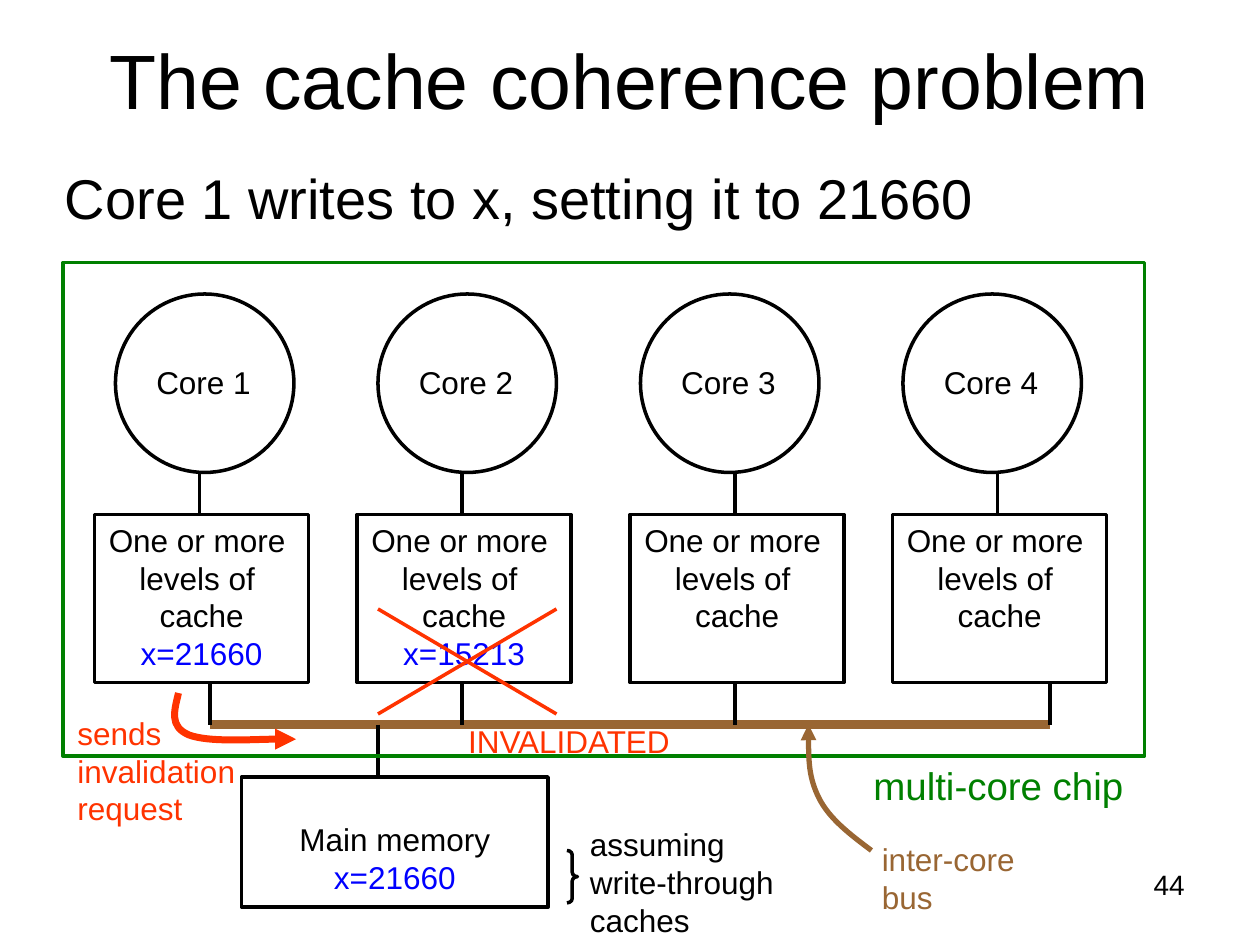
from dataclasses import dataclass

import pptx
import pptx.dml.color
import pptx.enum.shapes
import pptx.enum.text
import pptx.oxml
import pptx.oxml.ns
import pptx.util

EMU_PER_PX = 7620  # 120 px to the inch
SHAPE = pptx.enum.shapes.MSO_SHAPE
ALIGN = pptx.enum.text.PP_ALIGN
ANCHOR = pptx.enum.text.MSO_ANCHOR


@dataclass(frozen=True)
class Theme:
    font: str = "Arial"
    black: str = "000000"
    blue: str = "0000FF"
    green: str = "008000"
    brown: str = "996633"
    red: str = "FF3300"
    title: int = 44
    heading: int = 32
    chip: int = 22
    body: int = 18
    number: int = 16
    thin: int = 2
    arrow: int = 3
    thick_arrow: int = 4
    bus: int = 5


THEME = Theme()


@dataclass(frozen=True)
class Box:
    left: int
    top: int
    width: int
    height: int


@dataclass(frozen=True)
class Line:
    start: tuple[int, int]
    end: tuple[int, int]
    color: str = THEME.black
    width: int = THEME.thin


@dataclass(frozen=True)
class Curve:
    """A start point, then three Bezier points for each segment."""
    points: list[tuple[int, int]]
    color: str
    width: int


@dataclass(frozen=True)
class Text:
    content: str
    color: str = THEME.black
    size: int = THEME.body
    align: ALIGN = ALIGN.LEFT


@dataclass(frozen=True)
class Core:
    name: str
    cache_left: int
    core_link: int
    bus_link: int
    value: str = ""


CORES = [
    Core("Core 1", 90, 190, 200, "x=21660"),
    Core("Core 2", 340, 440, 440, "x=15213"),
    Core("Core 3", 600, 700, 700),
    Core("Core 4", 850, 950, 1000),
]
CORE_PITCH = 250
CORE_TOP, CORE_SIZE = 280, 170
CACHE_TOP, CACHE_WIDTH, CACHE_HEIGHT = 490, 204, 160
BUS_TOP = 690
MEMORY = Box(230, 740, 292, 124)


def px(length: int) -> pptx.util.Emu:
    return pptx.util.Emu(length * EMU_PER_PX)


def rgb(color: str) -> pptx.dml.color.RGBColor:
    return pptx.dml.color.RGBColor.from_string(color)


def frame_of(box: Box) -> list[pptx.util.Emu]:
    return [px(length) for length in (box.left, box.top, box.width, box.height)]


def set_line(shape, color: str, width: int) -> None:
    shape.line.color.rgb = rgb(color)
    shape.line.width = pptx.util.Pt(width)


def write(shape, texts: list[Text], wrap: bool = False, anchor: ANCHOR = ANCHOR.TOP) -> None:
    frame = shape.text_frame
    frame.word_wrap = wrap
    frame.vertical_anchor = anchor
    for index, text in enumerate(texts):
        paragraph = frame.add_paragraph() if index else frame.paragraphs[0]
        paragraph.text = text.content
        paragraph.alignment = text.align
        paragraph.font.name = THEME.font
        paragraph.font.size = pptx.util.Pt(text.size)
        paragraph.font.color.rgb = rgb(text.color)


def add_label(shapes, box: Box, text: Text, wrap: bool = False, anchor: ANCHOR = ANCHOR.TOP) -> None:
    write(shapes.add_textbox(*frame_of(box)), [text], wrap, anchor)


def add_outline(shapes, kind: SHAPE, box: Box, color: str = THEME.black):
    shape = shapes.add_shape(kind, *frame_of(box))
    shape.shadow.inherit = False
    shape.fill.background()
    set_line(shape, color, THEME.thin)
    return shape


def add_line(shapes, line: Line) -> None:
    connector = shapes.add_connector(
        pptx.enum.shapes.MSO_CONNECTOR.STRAIGHT,
        *(px(length) for length in line.start + line.end))
    set_line(connector, line.color, line.width)
    pptx.oxml.ns  # namespace helpers
    properties = connector._element.spPr
    properties.append(properties.makeelement(pptx.oxml.ns.qn("a:effectLst"), {}))


def add_curved_arrow(shapes, curve: Curve) -> None:
    """Draw the control polygon, then join each three points into a Bezier segment."""
    builder = shapes.build_freeform(*curve.points[0], scale=EMU_PER_PX)
    builder.add_line_segments(curve.points[1:], close=False)
    shape = builder.convert_to_shape()
    shape.shadow.inherit = False
    shape.fill.background()
    set_line(shape, curve.color, curve.width)
    qn = pptx.oxml.ns.qn
    path = next(shape._element.iter(qn("a:path")))
    steps = path.findall(qn("a:lnTo"))
    for first in range(0, len(steps), 3):
        bezier = path.makeelement(qn("a:cubicBezTo"), {})
        path.append(bezier)
        for step in steps[first:first + 3]:
            bezier.append(step[0])
            path.remove(step)
    outline = shape.line._get_or_add_ln()
    outline.append(outline.makeelement(qn("a:tailEnd"), {"type": "triangle"}))


def add_core(shapes, index: int, core: Core) -> None:
    left = 110 + index * CORE_PITCH
    group = shapes.add_group_shape()
    add_outline(group.shapes, SHAPE.OVAL, Box(left, CORE_TOP, CORE_SIZE, CORE_SIZE))
    add_label(group.shapes, Box(left + 27, 340, 114, 48), Text(core.name))

    cache = add_outline(shapes, SHAPE.RECTANGLE,
                        Box(core.cache_left, CACHE_TOP, CACHE_WIDTH, CACHE_HEIGHT))
    texts = [Text("One or more \nlevels of \ncache", align=ALIGN.CENTER)]
    if core.value:
        texts.append(Text(core.value, THEME.blue, align=ALIGN.CENTER))
    write(cache, texts)
    add_line(shapes, Line((core.core_link, CORE_TOP + CORE_SIZE), (core.core_link, CACHE_TOP)))


def add_memory(shapes) -> None:
    memory = add_outline(shapes, SHAPE.RECTANGLE, MEMORY)
    memory.text_frame.margin_top = px(41)
    write(memory, [Text("Main memory", align=ALIGN.CENTER),
                   Text("x=21660", THEME.blue, align=ALIGN.CENTER)], wrap=True)


def main() -> None:
    presentation = pptx.Presentation()
    presentation.slide_width, presentation.slide_height = px(1200), px(900)
    shapes = presentation.slides.add_slide(presentation.slide_layouts[6]).shapes

    add_label(shapes, Box(860, 820, 280, 62), Text("44", size=THEME.number, align=ALIGN.RIGHT), wrap=True)
    add_label(shapes, Box(60, 0, 1080, 150),
              Text("The cache coherence problem", size=THEME.title, align=ALIGN.CENTER),
              wrap=True, anchor=ANCHOR.MIDDLE)
    add_label(shapes, Box(50, 150, 1080, 594),
              Text("Core 1 writes to x, setting it to 21660", size=THEME.heading), wrap=True)

    for index, core in enumerate(CORES):
        add_core(shapes, index, core)
    add_memory(shapes)
    add_line(shapes, Line((200, BUS_TOP), (1000, BUS_TOP), THEME.brown, THEME.bus))
    for core in CORES:
        add_line(shapes, Line((core.bus_link, CACHE_TOP + CACHE_HEIGHT), (core.bus_link, BUS_TOP)))
    add_line(shapes, Line((360, BUS_TOP), (360, MEMORY.top)))

    add_outline(shapes, SHAPE.RECTANGLE, Box(60, 250, 1030, 470), THEME.green)
    add_label(shapes, Box(820, 720, 263, 56), Text("multi-core chip", THEME.green, THEME.chip))
    brace = add_outline(shapes, SHAPE.RIGHT_BRACE, Box(540, 810, 10, 50))
    brace.adjustments[0] = 0.42
    add_label(shapes, Box(550, 780, 208, 120), Text("assuming \nwrite-through \ncaches"))

    for start, end in ((680, 580), (580, 680)):
        add_line(shapes, Line((360, start), (530, end), THEME.red))
    add_label(shapes, Box(434, 682, 221, 48), Text("INVALIDATED", THEME.red))
    add_curved_arrow(shapes, Curve(
        [(170, 660), (166, 677), (161, 692), (180, 700), (199, 707), (265, 703), (282, 704)],
        THEME.red, THEME.thick_arrow))
    add_label(shapes, Box(62, 674, 174, 120), Text("sends\ninvalidation\nrequest", THEME.red))
    add_curved_arrow(shapes, Curve(
        [(830, 810), (810, 795), (790, 780), (780, 760), (770, 740), (770, 715), (770, 690)],
        THEME.brown, THEME.arrow))
    add_label(shapes, Box(828, 794, 151, 84), Text("inter-core\nbus", THEME.brown))

    presentation.save("out.pptx")


if __name__ == "__main__":
    main()
